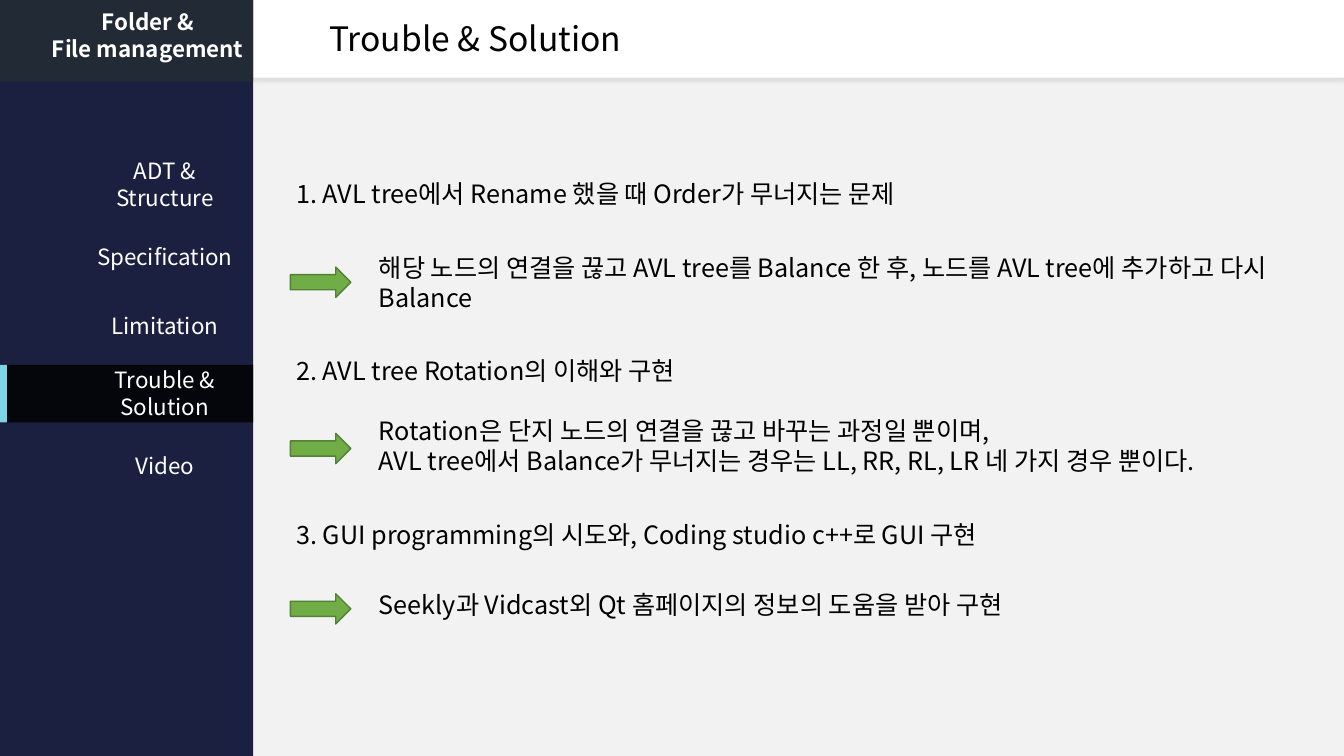
from dataclasses import dataclass

import lxml.etree
import pptx
import pptx.dml.color
import pptx.enum.shapes
import pptx.enum.text
import pptx.oxml.ns
import pptx.util

Inches = pptx.util.Inches
Pt = pptx.util.Pt
Shapes = pptx.enum.shapes.MSO_SHAPE
Align = pptx.enum.text.PP_ALIGN
qn = pptx.oxml.ns.qn


@dataclass(frozen=True)
class Theme:
    font: str = "Noto Sans CJK KR"
    background: str = "F2F2F2"
    sidebar: str = "1B2040"
    brand: str = "222A35"
    active: str = "05060B"
    accent: str = "7DD4E5"
    light: str = "FFFFFF"
    dark: str = "000000"
    arrow: str = "70AD47"
    arrow_line: str = "538035"
    title_size: int = 24
    body_size: int = 18
    menu_size: int = 16
    line_pitch: float = 1.2


THEME = Theme()
MENU = [
    (1.51, 0.64, "ADT &\nStructure"),
    (2.36, 0.37, "Specification"),
    (3.05, 0.37, "Limitation"),
    (3.58, 0.64, "Trouble &\nSolution"),
    (4.44, 0.37, "Video"),
]
TROUBLES = [
    (1.72, "1. AVL tree에서 Rename 했을 때 Order가 무너지는 문제",
     2.65, 2.45, 0.71,
     "해당 노드의 연결을 끊고 AVL tree를 Balance 한 후, 노드를 AVL tree에 추가하고 다시 Balance"),
    (3.48, "2. AVL tree Rotation의 이해와 구현",
     4.3, 4.07, 0.71,
     "Rotation은 단지 노드의 연결을 끊고 바꾸는 과정일 뿐이며,\n"
     "AVL tree에서 Balance가 무너지는 경우는 LL, RR, RL, LR 네 가지 경우 뿐이다."),
    (5.1, "3. GUI programming의 시도와, Coding studio c++로 GUI 구현",
     5.89, 5.8, 0.4,
     "Seekly과 Vidcast외 Qt 홈페이지의 정보의 도움을 받아 구현"),
]


def color(value):
    return pptx.dml.color.RGBColor.from_string(value)


def add_block(slide, kind, box, fill, line=None):
    shape = slide.shapes.add_shape(kind, *map(Inches, box))
    shape.shadow.inherit = False
    shape.fill.solid()
    shape.fill.fore_color.rgb = color(fill)
    if line:
        shape.line.color.rgb = color(line)
        shape.line.width = Pt(1)
    else:
        shape.line.fill.background()
    return shape


def add_text(slide, box, text, size, ink, align=Align.LEFT, bold=False):
    shape = slide.shapes.add_textbox(*map(Inches, box))
    frame = shape.text_frame
    frame.text = text
    frame.word_wrap = True
    for paragraph in frame.paragraphs:
        paragraph.alignment = align
        paragraph.line_spacing = Pt(size * THEME.line_pitch)
        for run in paragraph.runs:
            run.font.name = THEME.font
            run.font.size = Pt(size)
            run.font.bold = bold
            run.font.color.rgb = color(ink)
            properties = run.font._element
            lxml.etree.SubElement(properties, qn("a:ea"), typeface=THEME.font)


def add_shadow(shape):
    effects = shape._element.spPr.find(qn("a:effectLst"))
    shadow = lxml.etree.SubElement(
        effects, qn("a:outerShdw"), blurRad=str(Pt(2)), dist=str(Pt(2)),
        dir="5400000", algn="t", rotWithShape="0")
    tint = lxml.etree.SubElement(shadow, qn("a:srgbClr"), val=THEME.dark)
    lxml.etree.SubElement(tint, qn("a:alpha"), val="8000")


def add_header(slide, left, top, width, height):
    bar = add_block(slide, Shapes.RECTANGLE, (left, top, width, height), THEME.light)
    add_shadow(bar)
    add_text(slide, (left + 0.66, top + 0.13, 4, 0.5), "Trouble & Solution",
             THEME.title_size, THEME.dark)


def add_sidebar(slide, left, top, width, height):
    active_top = top + 3.62
    for box, fill in [
        ((left, top, width, height), THEME.sidebar),
        ((left, top, width, 0.81), THEME.brand),
        ((left, active_top, width, 0.57), THEME.active),
        ((left, active_top, 0.07, 0.57), THEME.accent),
    ]:
        add_block(slide, Shapes.RECTANGLE, box, fill)
    add_text(slide, (left + 0.4, top + 0.03, 2.13, 0.64), "Folder &\nFile management",
             THEME.menu_size, THEME.light, Align.CENTER, bold=True)
    for offset, item_height, label in MENU:
        add_text(slide, (left + 0.78, top + offset, 1.71, item_height), label,
                 THEME.menu_size, THEME.light, Align.CENTER)


def add_troubles(slide, left, top, width):
    for problem_top, problem, arrow_top, answer_top, answer_height, answer in TROUBLES:
        add_text(slide, (left, top + problem_top, width, 0.4), problem,
                 THEME.body_size, THEME.dark)
        add_block(slide, Shapes.RIGHT_ARROW, (left + 0.04, top + arrow_top, 0.6, 0.3),
                  THEME.arrow, THEME.arrow_line)
        add_text(slide, (left + 0.82, top + answer_top, width - 0.82, answer_height),
                 answer, THEME.body_size, THEME.dark)


def main():
    presentation = pptx.Presentation()
    presentation.slide_width = Inches(13.33)
    presentation.slide_height = Inches(7.5)
    slide = presentation.slides.add_slide(presentation.slide_layouts[6])
    slide.background.fill.solid()
    slide.background.fill.fore_color.rgb = color(THEME.background)
    add_header(slide, 2.51, 0, 10.82, 0.77)
    add_sidebar(slide, 0, 0, 2.51, 7.5)
    add_troubles(slide, 2.84, 0, 10.2)
    presentation.save("out.pptx")


if __name__ == "__main__":
    main()
